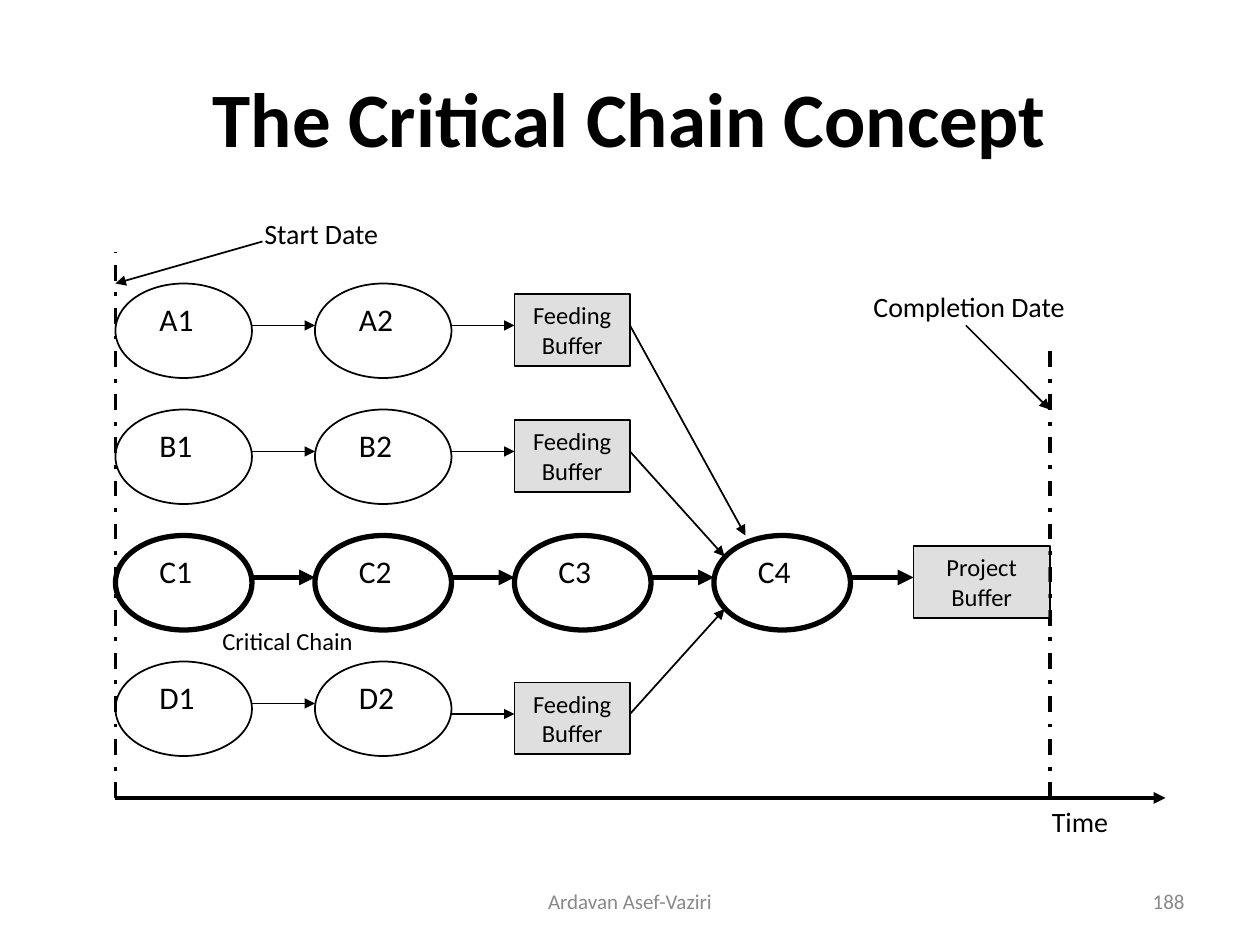
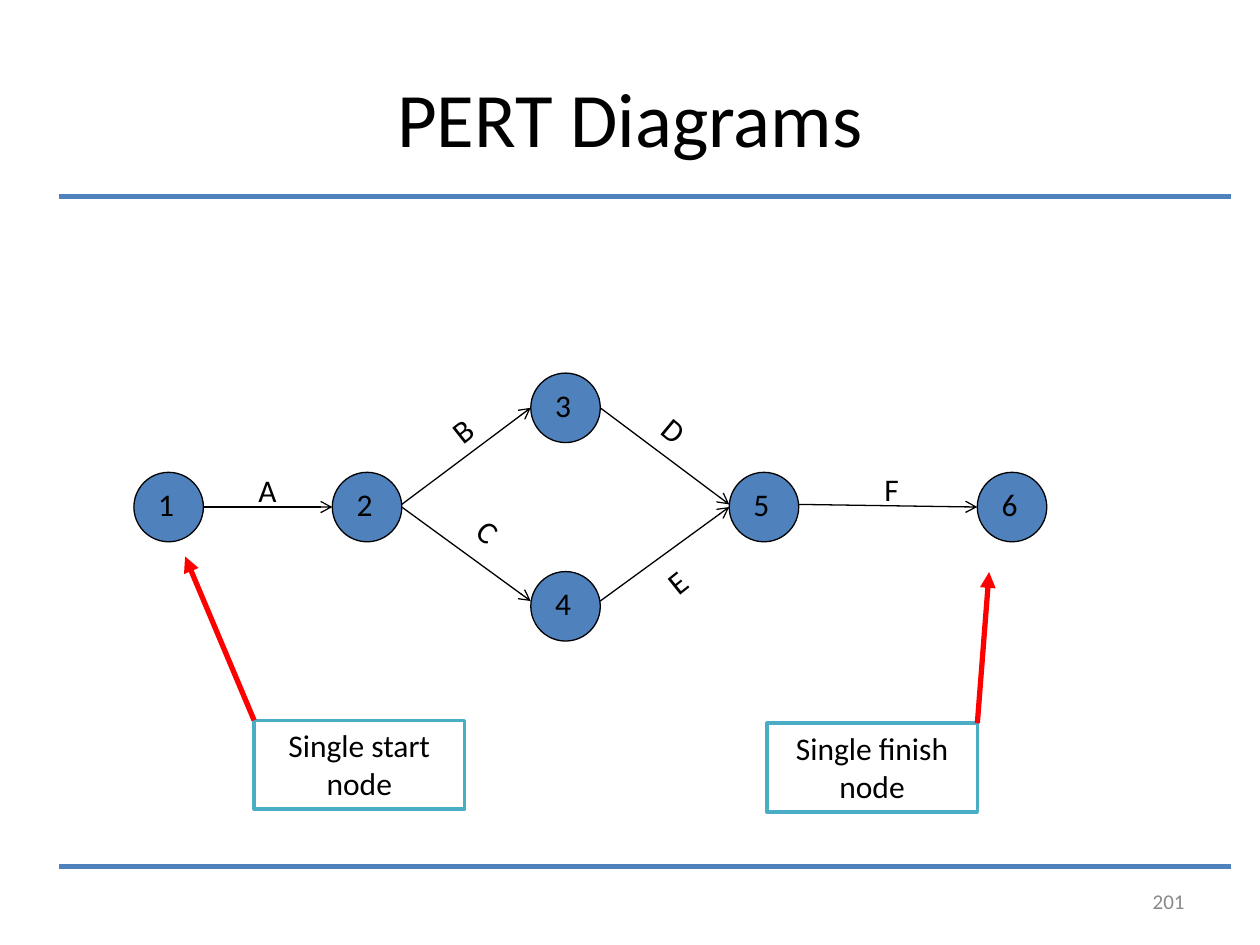
from collections import namedtuple

from lxml import etree
from pptx import Presentation
from pptx import util as u
from pptx.dml.color import RGBColor
from pptx.enum import dml, shapes, text
from pptx.oxml import ns

COLORS = {"ink": "000000", "muted": "898989", "blue": "4F81BD", "teal": "4BACC6",
          "red": "FF0000", "gray": "C0C0C0", "white": "FFFFFF"}
FONT = "Calibri"
Box = namedtuple("Box", "left top width height")
TITLE = Box(36, 21.6, 648, 90)
FOOTER = Box(246, 500.5, 228, 28.8)
NUMBER = Box(516, 500.5, 168, 28.8)
LEFT, CENTER, RIGHT = text.PP_ALIGN.LEFT, text.PP_ALIGN.CENTER, text.PP_ALIGN.RIGHT
TOP, MIDDLE = text.MSO_ANCHOR.TOP, text.MSO_ANCHOR.MIDDLE


def points(box):
    """Return the sides of a box as lengths."""
    return [u.Pt(side) for side in box]


def rgb(name):
    """Return a named colour."""
    return RGBColor.from_string(COLORS[name])


def add_child(parent, tag, **attributes):
    """Append one drawing element to a parent element."""
    return etree.SubElement(parent, ns.qn(tag), attributes)


def write(shape, lines, size, align=LEFT, color="ink", anchor=TOP, bold=False, wrap=True):
    """Fill a shape with lines of text, one paragraph each."""
    frame = shape.text_frame
    frame.word_wrap = wrap
    frame.vertical_anchor = anchor
    for index, line in enumerate(lines):
        para = frame.add_paragraph() if index else frame.paragraphs[0]
        para.alignment = align
        span = para.add_run()
        span.text = line
        span.font.name = FONT
        span.font.size = u.Pt(size)
        span.font.bold = bold
        span.font.color.rgb = rgb(color)


def add_text(page, box, line, size, **style):
    """Add a text box and return it."""
    shape = page.shapes.add_textbox(*points(box))
    write(shape, [line], size, **style)
    return shape


def add_outline(page, kind, box, weight, line="ink", fill=None, alpha=None):
    """Add an outlined preset shape, filled if a colour is given."""
    shape = page.shapes.add_shape(kind, *points(box))
    shape.shadow.inherit = False
    shape.line.color.rgb = rgb(line)
    shape.line.width = u.Pt(weight)
    if fill is None:
        shape.fill.background()
        return shape
    shape.fill.solid()
    shape.fill.fore_color.rgb = rgb(fill)
    if alpha:
        color = shape.element.spPr.find(ns.qn("a:solidFill"))[0]
        add_child(color, "a:alpha", val=str(alpha * 1000))
    return shape


def add_line(page, start, end, weight, color="ink", head=None, dash=None):
    """Draw a straight line, with an arrowhead at its end if one is named."""
    line = page.shapes.add_connector(
        shapes.MSO_CONNECTOR.STRAIGHT, *points((*start, *end)))
    line.line.color.rgb = rgb(color)
    line.line.width = u.Pt(weight)
    if dash:
        line.line.dash_style = dash
    if head:
        add_child(line.line._get_or_add_ln(), "a:tailEnd", type=head)
    add_child(line._element.spPr, "a:effectLst")


def add_page(deck, title, number, bold=False):
    """Add a slide with its title and page number."""
    page = deck.slides.add_slide(deck.slide_layouts[5])
    heading = page.shapes.title
    heading.left, heading.top, heading.width, heading.height = points(TITLE)
    write(heading, [title], 44, align=CENTER, anchor=MIDDLE, bold=bold)
    add_text(page, NUMBER, number, 12, align=RIGHT, color="muted", anchor=MIDDLE)
    return page


def draw_time_frame(page, box):
    """Draw the time axis and the start and completion dates."""
    left, top, width, height = box
    bottom, finish = top + height, left + 534
    dash = dml.MSO_LINE.DASH_DOT
    add_line(page, (left, bottom), (left + width, bottom), 2.25, head="triangle")
    add_line(page, (left, bottom), (left, top + 24), 2.25, dash=dash)
    add_line(page, (finish, bottom), (finish, top + 78), 2.25, dash=dash)
    add_line(page, (left + 84, top + 18), (left, top + 42), 1, head="triangle")
    add_line(page, (finish - 48, top + 66), (finish, top + 114), 1, head="triangle")
    add_text(page, Box(left + 78, top, 96, 26.6), "Start Date", 16)
    add_text(page, Box(left + 426, top + 42, 126, 26.6), "Completion Date", 16)
    add_text(page, Box(left + 528, bottom, 54, 26.6), "Time", 16)


def draw_buffer(page, box, label):
    """Draw a gray buffer block."""
    block = add_outline(page, shapes.MSO_SHAPE.RECTANGLE, box, 1, fill="gray", alpha=50)
    write(block, [label], 14, align=CENTER)


def draw_chains(page, box):
    """Draw the task chains, their buffers and the links between them."""
    left, top = box.left, box.top
    pitch, row_pitch, width, height, middle = 114, 72, 78, 54, 24
    merge = left + 3 * pitch
    critical = top + 2 * row_pitch
    feeds = {"A": (18, 0, 0), "B": (6, 12, 0), "D": (6, 42, 6)}
    for row, (chain, count) in enumerate({"A": 2, "B": 2, "C": 4, "D": 2}.items()):
        row_top = top + row * row_pitch
        weight = 3 if chain == "C" else 1
        for column in range(count):
            x = left + column * pitch
            oval = Box(x, row_top, width, height)
            add_outline(page, shapes.MSO_SHAPE.OVAL, oval, weight)
            add_text(page, Box(x + 18, row_top + 6, 48, 29), f"{chain}{column + 1}", 18)
            drop = feeds[chain][2] if chain in feeds and column == count - 1 else 0
            y = row_top + middle + drop
            add_line(page, (x + width, y), (x + pitch, y), weight, head="triangle")
        end = left + count * pitch
        if chain in feeds:
            shift, depth, drop = feeds[chain]
            draw_buffer(page, Box(end, row_top + 6 + drop, 66, 41), "Feeding Buffer")
            add_line(page, (end + 66, row_top + middle + drop),
                     (merge + shift, critical + depth), 1, head="triangle")
        else:
            draw_buffer(page, Box(end, row_top + 6, width, 41), "Project Buffer")
    add_text(page, Box(left + 54, critical + 48, 114, 24.5), "Critical Chain", 14)


def draw_network(page, box):
    """Draw the numbered nodes and the lettered activities between them."""
    pitch, row_pitch, size = 113.4, 56.7, 39.7
    grid = {"1": (0, 1), "2": (1, 1), "3": (2, 0), "5": (3, 1), "4": (2, 2), "6": (4.25, 1)}
    corners = {name: (box.left + column * pitch, box.top + row * row_pitch)
               for name, (column, row) in grid.items()}
    for name, (x, y) in corners.items():
        add_outline(page, shapes.MSO_SHAPE.OVAL, Box(x, y, size, size), 0.75, fill="blue")
        add_text(page, Box(x + 6.8, y + 3.6, 22.5, 29), name, 18)
    activities = [("A", "12", 0, 0, 76, 67, 0), ("F", "56", -1.5, 0, 433, 66.3, 0),
                  ("C", "24", 0, -3, 202.5, 90.6, 39.8), ("B", "23", -1.5, 0, 187.5, 33, -38.4),
                  ("D", "35", 0, -1.5, 308.4, 32.3, 39.8), ("E", "45", -3, 0, 310.2, 119.4, -38.7)]
    for letter, (first, last), rise, fall, x, y, turn in activities:
        start, end = corners[first], corners[last]
        add_line(page, (start[0] + size, start[1] + size / 2 + rise),
                 (end[0], end[1] + size / 2 + fall), 0.75, head="arrow")
        label = Box(box.left + x - 12, box.top + y - 14.4, 24, 28.8)
        add_text(page, label, letter, 18, align=CENTER, wrap=False).rotation = turn


def draw_callout(page, box, lines, start, target):
    """Draw a framed note with a red arrow, both ends relative to the note."""
    note = add_outline(page, shapes.MSO_SHAPE.RECTANGLE, box, 2, line="teal", fill="white")
    write(note, lines, 18, align=CENTER)
    ends = [(box.left + x, box.top + y) for x, y in (start, target)]
    add_line(page, *ends, 3, color="red", head="triangle")


def build_critical_chain(deck):
    """Build the critical chain slide."""
    page = add_page(deck, "The Critical Chain Concept", "188", bold=True)
    add_text(page, FOOTER, "Ardavan Asef-Vaziri", 12, align=CENTER, color="muted", anchor=MIDDLE)
    draw_time_frame(page, Box(66, 120, 600, 336))
    draw_chains(page, Box(66, 162, 534, 270))


def build_pert(deck):
    """Build the PERT slide."""
    page = add_page(deck, "PERT Diagrams", "201")
    for y in (112.5, 495):
        add_line(page, (33.8, y), (703.2, y), 3, color="blue")
    draw_network(page, Box(76.5, 213.2, 521.7, 153.1))
    draw_callout(page, Box(145.2, 411.6, 120.3, 50.6), ["Single start", "node"],
                 (0, 0), (-39.4, -93.6))
    draw_callout(page, Box(438.2, 413.3, 120.3, 50.6), ["Single finish", "node"],
                 (120.3, 0), (127, -86.4))


def main():
    """Build and save the deck."""
    deck = Presentation()
    deck.slide_width, deck.slide_height = u.Pt(720), u.Pt(540)
    build_critical_chain(deck)
    build_pert(deck)
    deck.save("out.pptx")


if __name__ == "__main__":
    main()
